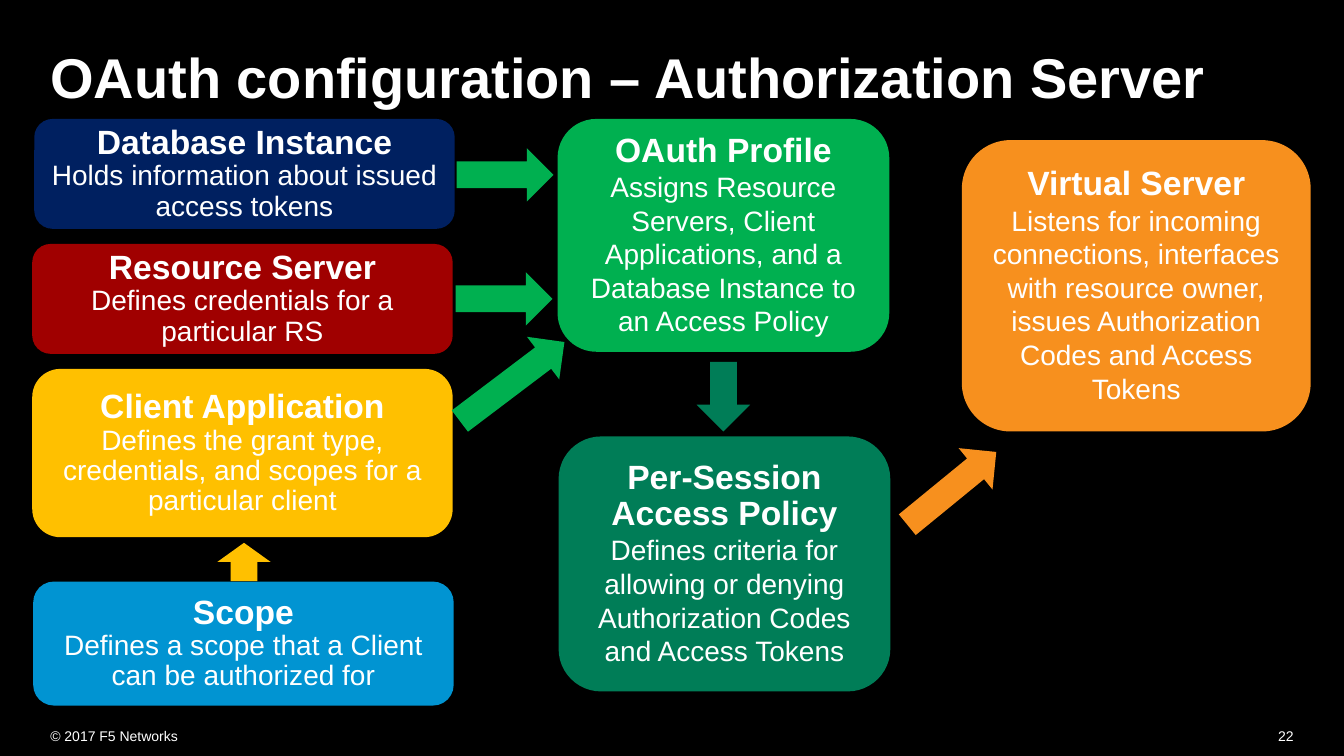
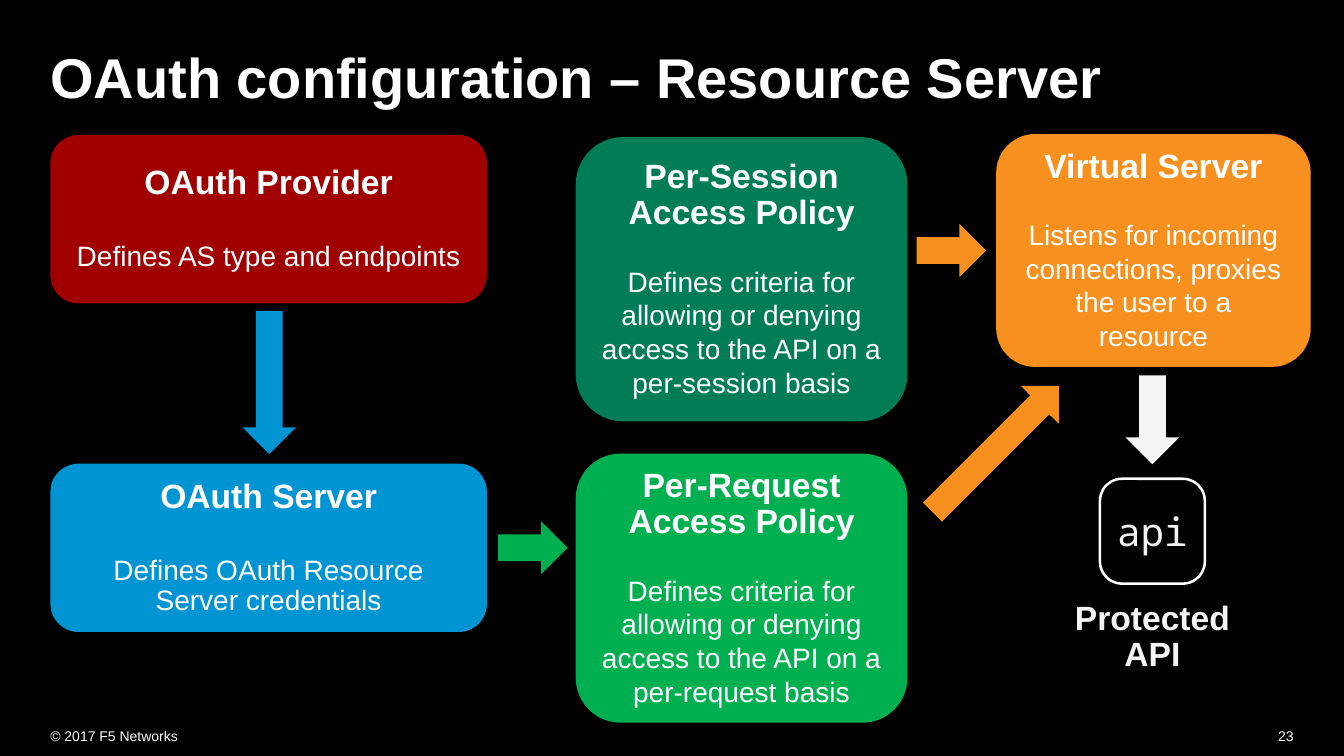
from pptx import Presentation
from pptx.dml.color import RGBColor
from pptx.enum.shapes import MSO_SHAPE
from pptx.enum.text import MSO_ANCHOR, PP_ALIGN
from pptx.util import Inches, Pt

ROUNDED = MSO_SHAPE.ROUNDED_RECTANGLE
ARROW = MSO_SHAPE.RIGHT_ARROW
TOP, MIDDLE = MSO_ANCHOR.TOP, MSO_ANCHOR.MIDDLE
LEFT, CENTER, RIGHT = PP_ALIGN.LEFT, PP_ALIGN.CENTER, PP_ALIGN.RIGHT

BLACK, WHITE, PALE = "000000", "FFFFFF", "F4F4F4"
NAVY, RED, YELLOW, BLUE = "002060", "A00000", "FFC000", "0194D2"
GREEN, TEAL, ORANGE = "00B050", "007D57", "F7901E"

ARROW_THICKNESS = 0.53
TIGHT = 0.9
TIGHT_GAP, LOOSE_GAP = 29, 23


def color(value):
    return RGBColor.from_string(value)


def write(paragraph, text, size=20, bold=False, font="Arial", ink=WHITE,
          align=CENTER, line_spacing=1.0, before=0):
    paragraph.alignment = align
    paragraph.line_spacing = line_spacing
    paragraph.space_before = Pt(before)
    run = paragraph.add_run()
    run.text = text
    run.font.name = font
    run.font.size = Pt(size)
    run.font.bold = bold
    run.font.color.rgb = color(ink)


class Deck:
    def __init__(self):
        self.presentation = Presentation()
        self.presentation.slide_width = Inches(13.33)
        self.presentation.slide_height = Inches(7.5)
        background = self.presentation.slide_master.background.fill
        background.solid()
        background.fore_color.rgb = color(BLACK)
        self.slide = None

    def add_slide(self, title, number):
        layout = self.presentation.slide_layouts.get_by_name("Title Only")
        self.slide = self.presentation.slides.add_slide(layout)
        shape = self.slide.shapes.title
        shape.left, shape.top = Inches(0.33), Inches(0.33)
        shape.width, shape.height = Inches(12.67), Inches(0.95)
        frame = self.frame(shape, TOP, 0.17)
        write(frame.paragraphs[0], title, size=40, bold=True, align=LEFT,
              line_spacing=TIGHT)
        self.footer(0.33, 4.5, "© 2017 F5 Networks", LEFT)
        self.footer(10, 3, str(number), RIGHT)

    def frame(self, shape, anchor, inset=None):
        frame = shape.text_frame
        frame.word_wrap = True
        frame.vertical_anchor = anchor
        if inset is not None:
            frame.margin_left = frame.margin_right = Inches(inset)
            frame.margin_top = frame.margin_bottom = Inches(inset)
        return frame

    def text_box(self, left, top, width, height, anchor, inset=None):
        shape = self.slide.shapes.add_textbox(
            Inches(left), Inches(top), Inches(width), Inches(height))
        return self.frame(shape, anchor, inset)

    def footer(self, left, width, text, align):
        frame = self.text_box(left, 7.1, width, 0.4, MIDDLE, 0.17)
        write(frame.paragraphs[0], text, size=10, align=align)

    def shape(self, kind, left, top, width, height, fill=None):
        shape = self.slide.shapes.add_shape(
            kind, Inches(left), Inches(top), Inches(width), Inches(height))
        shape.shadow.inherit = False
        shape.line.fill.background()
        if fill:
            shape.fill.solid()
            shape.fill.fore_color.rgb = color(fill)
        else:
            shape.fill.background()
        return shape

    def box(self, left, top, width, height, fill, heading, body,
            line_spacing=1.0, gap=0):
        shape = self.shape(ROUNDED, left, top, width, height, fill)
        frame = self.frame(shape, MIDDLE)
        write(frame.paragraphs[0], heading, size=24, bold=True,
              line_spacing=TIGHT)
        write(frame.add_paragraph(), body, line_spacing=line_spacing,
              before=gap)

    def arrow(self, left, top, length, fill, rotation=0):
        shape = self.shape(ARROW, left, top, length, ARROW_THICKNESS, fill)
        shape.rotation = rotation

    def icon(self, left, top, side, text):
        shape = self.shape(ROUNDED, left, top, side, side)
        shape.adjustments[0] = 0.21
        shape.line.color.rgb = color(WHITE)
        shape.line.width = Pt(1.8)
        frame = self.frame(shape, MIDDLE, 0)
        write(frame.paragraphs[0], text, size=28, font="Noto Sans Mono",
              ink=PALE)

    def caption(self, left, top, width, height, lines):
        frame = self.text_box(left, top, width, height, TOP)
        for index, line in enumerate(lines):
            paragraph = frame.add_paragraph() if index else frame.paragraphs[0]
            write(paragraph, line, size=24, bold=True, ink=PALE,
                  line_spacing=TIGHT)


def authorization_server(deck):
    deck.add_slide("OAuth configuration – Authorization Server", 22)
    for left, top, height, fill, heading, body in (
        (0.34, 1.18, 1.09, NAVY, "Database Instance",
         "Holds information about issued access tokens"),
        (0.32, 2.42, 1.09, RED, "Resource Server",
         "Defines credentials for a particular RS"),
        (0.32, 3.66, 1.67, YELLOW, "Client Application",
         "Defines the grant type, credentials, and scopes for a particular "
         "client"),
        (0.33, 5.77, 1.23, BLUE, "Scope",
         "Defines a scope that a Client can be authorized for"),
    ):
        deck.box(left, top, 4.17, height, fill, heading, body, TIGHT)
    deck.box(5.53, 1.18, 3.29, 2.31, GREEN, "OAuth Profile",
             "Assigns Resource Servers, Client Applications, and a Database "
             "Instance to an Access Policy")
    deck.box(5.54, 4.33, 3.29, 2.53, TEAL, "Per-Session Access Policy",
             "Defines criteria for allowing or denying Authorization Codes "
             "and Access Tokens")
    deck.box(9.54, 1.39, 3.46, 2.89, ORANGE, "Virtual Server",
             "Listens for incoming connections, interfaces with resource "
             "owner, issues Authorization Codes and Access Tokens")
    deck.arrow(4.53, 1.47, 0.96, GREEN)
    deck.arrow(4.52, 2.7, 0.96, GREEN)
    deck.arrow(4.43, 3.52, 1.3, GREEN, 322.9)
    deck.arrow(2.23, 5.31, 0.38, YELLOW, 270)
    deck.arrow(6.83, 3.67, 0.69, TEAL, 90)
    deck.arrow(8.87, 4.58, 1.14, ORANGE, 320.7)


def resource_server(deck):
    deck.add_slide("OAuth configuration – Resource Server", 23)
    for top, fill, heading, body in (
        (1.34, RED, "OAuth Provider", "Defines AS type and endpoints"),
        (4.6, BLUE, "OAuth Server",
         "Defines OAuth Resource Server credentials"),
    ):
        deck.box(0.5, top, 4.33, 1.67, fill, heading, body, TIGHT, TIGHT_GAP)
    for top, height, fill, scope in (
        (1.36, 2.82, TEAL, "Session"),
        (4.5, 2.67, GREEN, "Request"),
    ):
        deck.box(5.71, top, 3.29, height, fill, f"Per-{scope} Access Policy",
                 "Defines criteria for allowing or denying access to the API "
                 f"on a per-{scope.lower()} basis", gap=LOOSE_GAP)
    deck.box(9.88, 1.33, 3.12, 2.31, ORANGE, "Virtual Server",
             "Listens for incoming connections, proxies the user to a "
             "resource", gap=LOOSE_GAP)
    deck.arrow(1.96, 3.53, 1.42, BLUE, 90)
    deck.arrow(4.94, 5.17, 0.69, GREEN)
    deck.arrow(9.09, 2.22, 0.69, ORANGE)
    deck.arrow(8.99, 4.19, 1.77, ORANGE, 315)
    deck.arrow(10.99, 3.9, 0.88, PALE, 90)
    deck.icon(10.91, 4.75, 1.04, "api")
    deck.caption(10.55, 5.92, 1.76, 0.83, ("Protected", "API"))


def main():
    deck = Deck()
    authorization_server(deck)
    resource_server(deck)
    deck.presentation.save("out.pptx")


if __name__ == "__main__":
    main()
